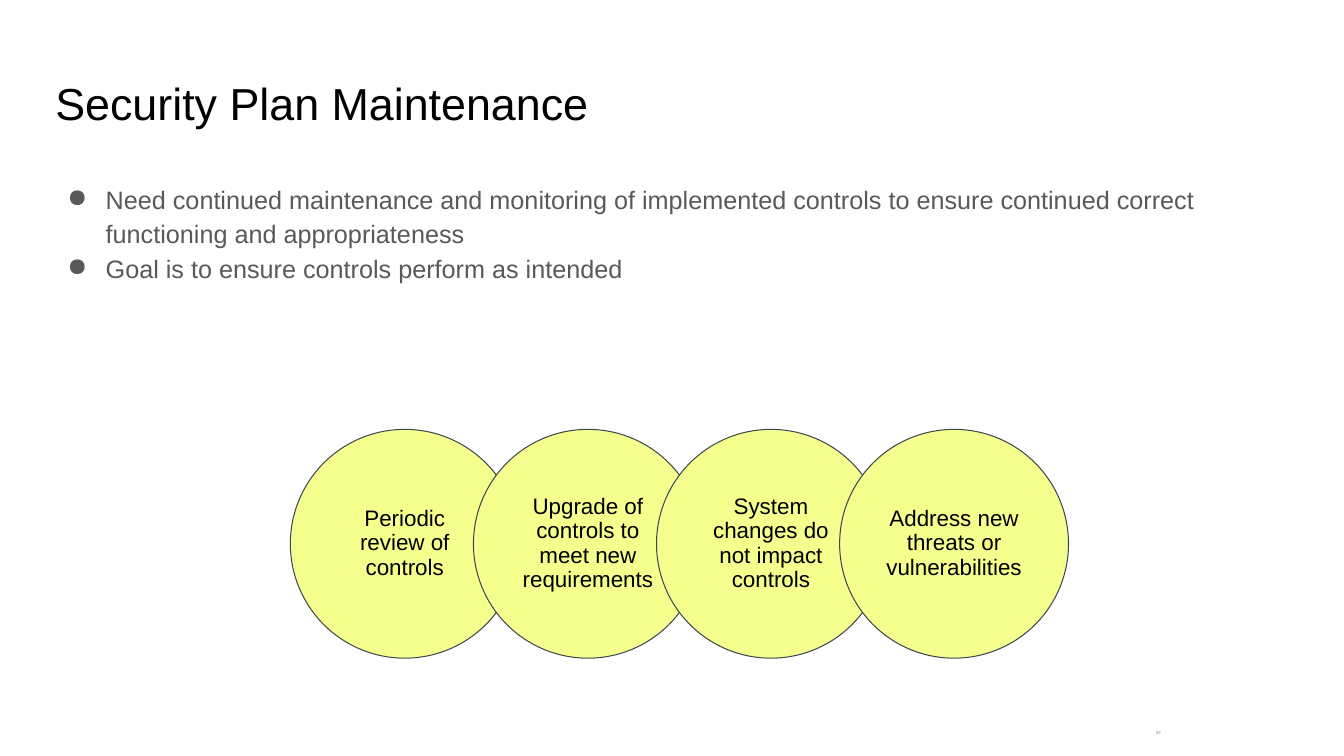
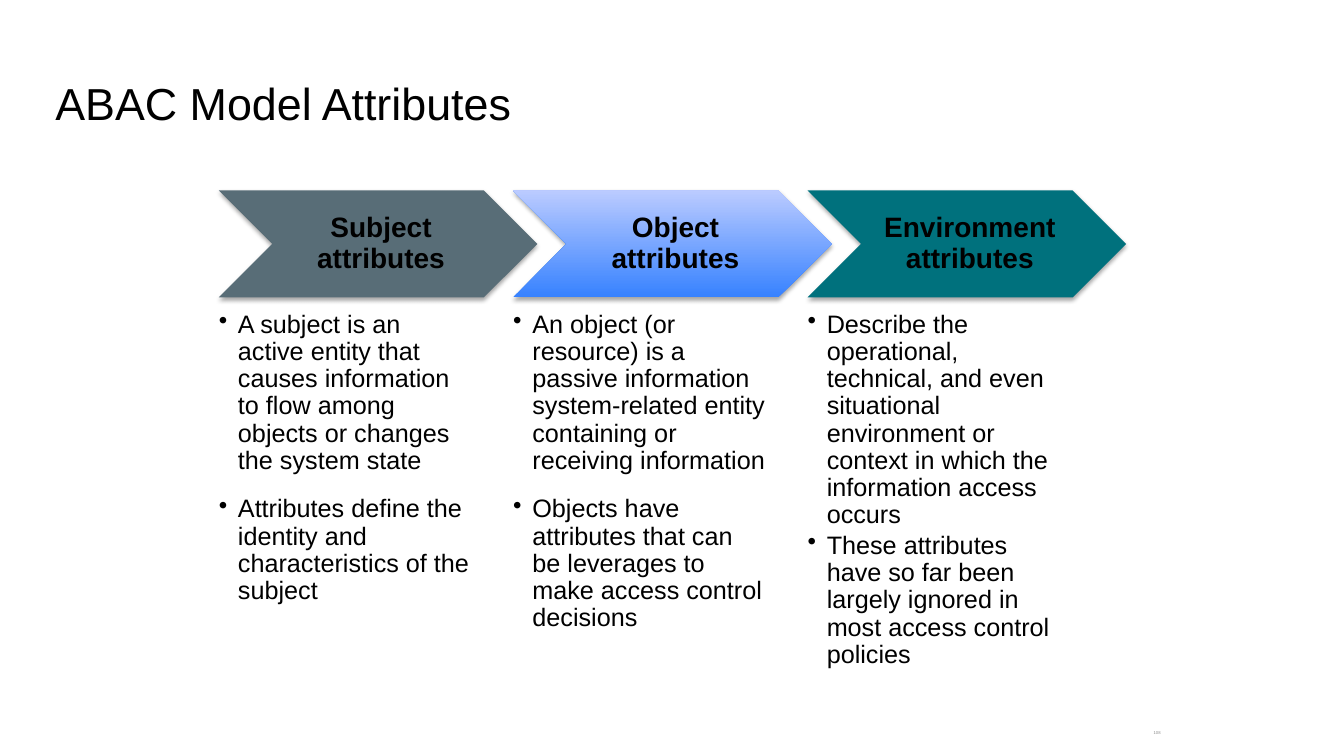
import lxml.etree
import pptx
import pptx.dml.color
import pptx.enum.shapes
import pptx.enum.text
import pptx.oxml.ns
import pptx.util

RGB = pptx.dml.color.RGBColor
SHAPE = pptx.enum.shapes.MSO_SHAPE
ALIGN = pptx.enum.text.PP_ALIGN
ANCHOR = pptx.enum.text.MSO_ANCHOR
Pt = pptx.util.Pt
qn = pptx.oxml.ns.qn

BLACK = RGB(0x00, 0x00, 0x00)
BODY_GREY = RGB(0x59, 0x59, 0x59)
NUMBER_GREY = RGB(0x8C, 0x8C, 0x8C)
YELLOW = RGB(0xF5, 0xFF, 0x8D)
OUTLINE = RGB(0x3A, 0x49, 0x50)
SLATE = RGB(0x58, 0x6D, 0x77)
BLUE = RGB(0x37, 0x82, 0xFF)
PALE_BLUE = RGB(0xBB, 0xCB, 0xFF)
TEAL = RGB(0x00, 0x71, 0x7D)

MAINTENANCE = {
    "title": "Security Plan Maintenance",
    "number": "69",
    "bullets": [
        "Need continued maintenance and monitoring of implemented controls "
        "to ensure continued correct functioning and appropriateness",
        "Goal is to ensure controls perform as intended",
    ],
    "circles": [
        "Periodic review of controls",
        "Upgrade of controls to meet new requirements",
        "System changes do not impact controls",
        "Address new threats or vulnerabilities",
    ],
}
# Each column: heading, fill colours from bottom to top, gap after the first bullet, bullets
ATTRIBUTES = {
    "title": "ABAC Model Attributes",
    "number": "108",
    "columns": [
        ("Subject attributes", [SLATE], 15.2, [
            "A subject is an active entity that causes information to flow "
            "among objects or changes the system state",
            "Attributes define the identity and characteristics of the subject",
        ]),
        ("Object attributes", [BLUE, PALE_BLUE], 15.2, [
            "An object (or resource) is a passive information system-related "
            "entity containing or receiving information",
            "Objects have attributes that can be leverages to make access "
            "control decisions",
        ]),
        ("Environment attributes", [TEAL], 2.5, [
            "Describe the operational, technical, and even situational "
            "environment or context in which the information access occurs",
            "These attributes have so far been largely ignored in most access "
            "control policies",
        ]),
    ],
}

FONT = "Arial"
TITLE = {"size": Pt(32), "color": BLACK}
NUMBER = {"size": Pt(3), "color": NUMBER_GREY}
BODY = {"size": Pt(18), "color": BODY_GREY}
COLUMN = {"size": Pt(18), "color": BLACK}
CIRCLE = {"size": Pt(16), "color": BLACK}
HEADING = {"size": Pt(20), "color": BLACK, "bold": True}

CIRCLE_X, CIRCLE_Y, CIRCLE_SIZE = 288, 426, 227
CIRCLE_STEP = CIRCLE_SIZE * 4 / 5
COLUMN_X, COLUMN_STEP = 217, 292


def px(n):
    """Convert px, 100 to the inch, to EMU."""
    return pptx.util.Emu(round(n * 9144))


def write(sp, texts, style, insets, anchor=ANCHOR.TOP, **spacing):
    """Fill a shape or text box; insets are left, top, right, bottom in px."""
    tf = sp.text_frame
    tf.word_wrap = True
    tf.vertical_anchor = anchor
    for side, inset in zip(("left", "top", "right", "bottom"), insets):
        setattr(tf, "margin_" + side, px(inset))
    for i, text in enumerate(texts):
        p = tf.add_paragraph() if i else tf.paragraphs[0]
        for name, value in spacing.items():
            setattr(p, name, value)
        r = p.add_run()
        r.text = text
        r.font.name = FONT
        for name, value in style.items():
            if name == "color":
                r.font.color.rgb = value
            else:
                setattr(r.font, name, value)
    return tf


def add_text(s, box, *args, **kwargs):
    return write(s.shapes.add_textbox(*map(px, box)), *args, **kwargs)


def add_bullets(tf, char, left, hanging, color):
    for p in tf.paragraphs:
        pPr = p._p.get_or_add_pPr()
        pPr.set("marL", str(px(left)))
        pPr.set("indent", str(-px(hanging)))
        clr = lxml.etree.SubElement(pPr, qn("a:buClr"))
        lxml.etree.SubElement(clr, qn("a:srgbClr"), val=str(color))
        lxml.etree.SubElement(pPr, qn("a:buChar"), char=char)


def add_preset(s, kind, box, colors):
    """Add a shape with a solid fill, or a gradient running upward."""
    sp = s.shapes.add_shape(kind, *map(px, box))
    sp.shadow.inherit = False
    if len(colors) == 1:
        sp.fill.solid()
        sp.fill.fore_color.rgb = colors[0]
    else:
        sp.fill.gradient()
        sp.fill.gradient_angle = 90
        for stop, color in zip(sp.fill.gradient_stops, colors):
            stop.color.rgb = color
    return sp


def add_shadow(sp):
    effects = sp._element.spPr.find(qn("a:effectLst"))
    shadow = lxml.etree.SubElement(
        effects, qn("a:outerShdw"), blurRad=str(Pt(3.1)), dist=str(Pt(1.8)),
        dir="5400000", rotWithShape="0")
    clr = lxml.etree.SubElement(shadow, qn("a:srgbClr"), val=str(BLACK))
    lxml.etree.SubElement(clr, qn("a:alpha"), val="35000")


def add_slide(prs, content):
    s = prs.slides.add_slide(prs.slide_layouts[6])
    add_text(s, (45, 65, 1242, 84), [content["title"]], TITLE, (10, 10, 10, 10))
    add_text(s, (1093, 720, 68, 15), [content["number"]], NUMBER, (10, 5, 10, 5),
             ANCHOR.MIDDLE, alignment=ALIGN.RIGHT, line_spacing=0.8)
    return s


def build_maintenance(prs):
    s = add_slide(prs, MAINTENANCE)
    tf = add_text(s, (45, 168, 1242, 498), MAINTENANCE["bullets"], BODY,
                  (10, 10, 10, 10), line_spacing=1.15)
    add_bullets(tf, "●", 50, 38, BODY_GREY)
    for i, text in enumerate(MAINTENANCE["circles"]):
        box = (CIRCLE_X + i * CIRCLE_STEP, CIRCLE_Y, CIRCLE_SIZE, CIRCLE_SIZE)
        sp = add_preset(s, SHAPE.OVAL, box, [YELLOW])
        sp.line.color.rgb = OUTLINE
        sp.line.width = Pt(0.75)
        write(sp, [text], CIRCLE, (12, 2, 12, 2), ANCHOR.MIDDLE,
              alignment=ALIGN.CENTER, line_spacing=0.9)


def build_attributes(prs):
    s = add_slide(prs, ATTRIBUTES)
    for i, (heading, colors, gap, bullets) in enumerate(ATTRIBUTES["columns"]):
        x = COLUMN_X + i * COLUMN_STEP
        sp = add_preset(s, SHAPE.CHEVRON, (x, 189, 316, 106), colors)
        sp.line.fill.background()
        add_shadow(sp)
        write(sp, [heading], HEADING, (9, 3, 3, 3), ANCHOR.MIDDLE,
              alignment=ALIGN.CENTER, line_spacing=0.9)
        tf = add_text(s, (x, 309, 252, 347), bullets, COLUMN, (0, 0, 0, 0),
                      line_spacing=0.9, space_after=Pt(gap))
        add_bullets(tf, "•", 19, 19, BLACK)


def main():
    prs = pptx.Presentation()
    prs.slide_width, prs.slide_height = px(1333), px(750)
    build_maintenance(prs)
    build_attributes(prs)
    prs.save("out.pptx")


if __name__ == "__main__":
    main()
